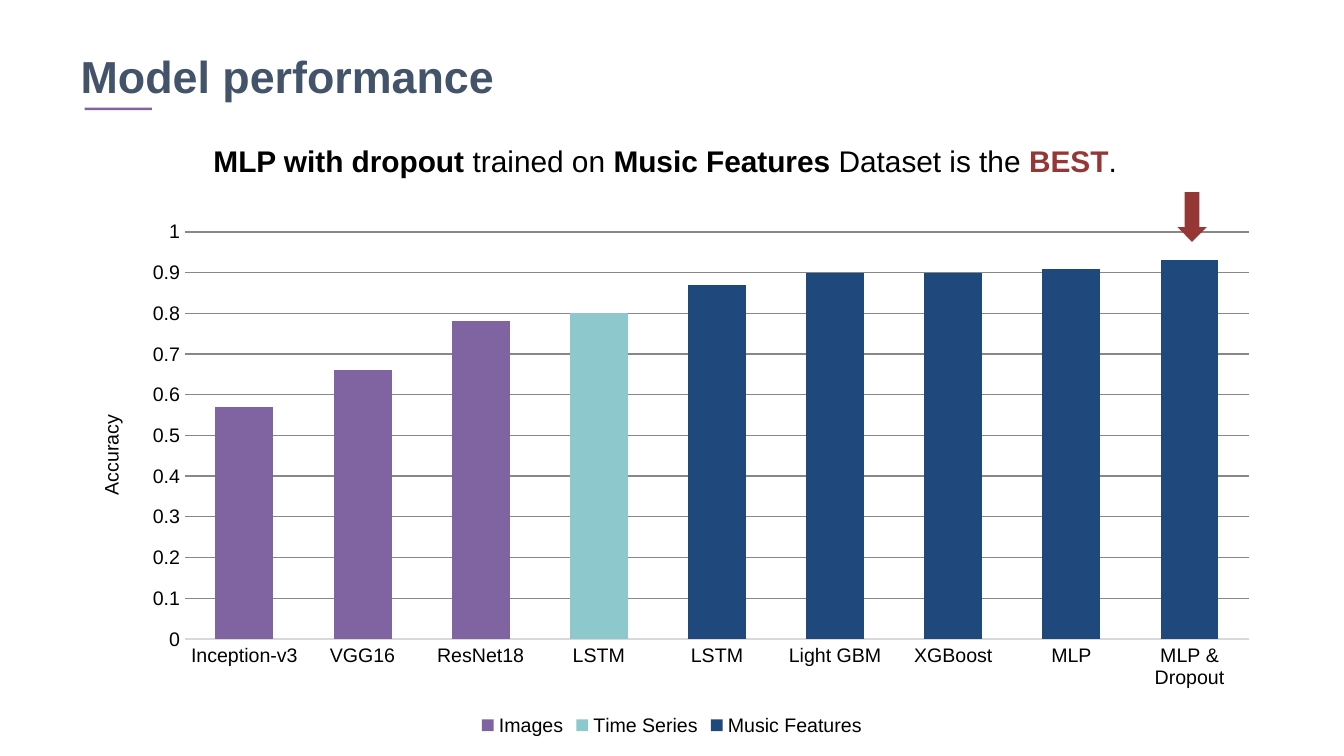
from dataclasses import dataclass

from lxml.etree import SubElement
from pptx import Presentation
from pptx.chart.data import CategoryChartData
from pptx.dml.color import RGBColor
from pptx.enum.chart import XL_CHART_TYPE, XL_LEGEND_POSITION, XL_TICK_MARK
from pptx.enum.shapes import MSO_SHAPE
from pptx.enum.text import MSO_ANCHOR, MSO_AUTO_SIZE, PP_ALIGN
from pptx.oxml import parse_xml
from pptx.oxml.ns import nsdecls, qn
from pptx.util import Inches, Pt


@dataclass(frozen=True)
class Theme:
    font: str = "Arial"
    title_size: float = 24
    message_size: float = 16
    chart_size: float = 10.5
    title: str = "43536A"
    text: str = "000000"
    highlight: str = "953735"
    accent: str = "8064A2"
    grid: str = "888888"
    axis: str = "D9D9D9"


THEME = Theme()
DATASET_COLORS = {
    "Images": "8064A2",
    "Time Series": "8DC9CC",
    "Music Features": "1F497D",
}
RESULTS = [
    ("Inception-v3", "Images", 0.57),
    ("VGG16", "Images", 0.66),
    ("ResNet18", "Images", 0.78),
    ("LSTM", "Time Series", 0.8),
    ("LSTM", "Music Features", 0.87),
    ("Light GBM", "Music Features", 0.9),
    ("XGBoost", "Music Features", 0.9),
    ("MLP", "Music Features", 0.91),
    ("MLP & Dropout", "Music Features", 0.93),
]
MESSAGE = [
    ("MLP with dropout ", True, THEME.text),
    ("trained on ", False, THEME.text),
    ("Music Features ", True, THEME.text),
    ("Dataset is the ", False, THEME.text),
    ("BEST", True, THEME.highlight),
    (".", False, THEME.text),
]


def style_font(font, size, color, bold=False):
    font.name = THEME.font
    font.size = Pt(size)
    font.bold = bold
    font.color.rgb = RGBColor.from_string(color)


def add_run(paragraph, text, size, color, bold):
    run = paragraph.add_run()
    run.text = text
    style_font(run.font, size, color, bold)


def add_filled_shape(slide, kind, left, top, width, height, color):
    shape = slide.shapes.add_shape(
        kind, Inches(left), Inches(top), Inches(width), Inches(height))
    shape.shadow.inherit = False
    shape.fill.solid()
    shape.fill.fore_color.rgb = RGBColor.from_string(color)
    shape.line.fill.background()


def add_heading(slide, left, top, width, height):
    title = slide.shapes.title
    title.left, title.top = Inches(left), Inches(top)
    title.width, title.height = Inches(width), Inches(height)
    frame = title.text_frame
    frame.auto_size = MSO_AUTO_SIZE.NONE
    frame.vertical_anchor = MSO_ANCHOR.MIDDLE
    paragraph = frame.paragraphs[0]
    paragraph.alignment = PP_ALIGN.LEFT
    add_run(paragraph, "Model performance", THEME.title_size, THEME.title, True)
    add_filled_shape(slide, MSO_SHAPE.RECTANGLE, left + 0.13, top + 0.57,
                     0.5, 0.02, THEME.accent)


def add_message(slide, left, top, width, height):
    box = slide.shapes.add_textbox(
        Inches(left), Inches(top), Inches(width), Inches(height))
    frame = box.text_frame
    frame.word_wrap = True
    frame.auto_size = MSO_AUTO_SIZE.SHAPE_TO_FIT_TEXT
    for text, bold, color in MESSAGE:
        add_run(frame.paragraphs[0], text, THEME.message_size, color, bold)


def set_plot_area(chart, left, top, width, height):
    plot_area = chart.element.find(qn("c:chart")).find(qn("c:plotArea"))
    for old_layout in plot_area.findall(qn("c:layout")):
        plot_area.remove(old_layout)
    layout = parse_xml(f"<c:layout {nsdecls('c')}/>")
    plot_area.insert(0, layout)
    manual = SubElement(layout, qn("c:manualLayout"))
    settings = {"layoutTarget": "inner", "xMode": "edge", "yMode": "edge",
                "x": left, "y": top, "w": width, "h": height}
    for name, value in settings.items():
        SubElement(manual, qn(f"c:{name}")).set("val", str(value))


def style_axes(chart):
    category_axis, value_axis = chart.category_axis, chart.value_axis
    for axis in (category_axis, value_axis):
        axis.major_tick_mark = XL_TICK_MARK.NONE
        axis.minor_tick_mark = XL_TICK_MARK.NONE
        style_font(axis.tick_labels.font, THEME.chart_size, THEME.text)
    category_axis.format.line.width = Pt(0.75)
    category_axis.format.line.color.rgb = RGBColor.from_string(THEME.axis)
    value_axis.format.line.fill.background()
    value_axis.minimum_scale, value_axis.maximum_scale = 0, 1
    value_axis.major_unit = 0.1
    value_axis.tick_labels.number_format = "General"
    value_axis.tick_labels.number_format_is_linked = False
    grid_line = value_axis.major_gridlines.format.line
    grid_line.width = Pt(0.75)
    grid_line.color.rgb = RGBColor.from_string(THEME.grid)
    paragraph = value_axis.axis_title.text_frame.paragraphs[0]
    add_run(paragraph, "Accuracy", THEME.chart_size, THEME.text, False)


def add_accuracy_chart(slide, left, top, width, height):
    data = CategoryChartData()
    data.categories = [model for model, _, _ in RESULTS]
    for name in DATASET_COLORS:
        data.add_series(name, [accuracy if dataset == name else 0
                               for _, dataset, accuracy in RESULTS])
    chart = slide.shapes.add_chart(
        XL_CHART_TYPE.COLUMN_STACKED, Inches(left), Inches(top),
        Inches(width), Inches(height), data).chart
    chart.has_title = False
    style_font(chart.font, THEME.chart_size, THEME.text)
    plot = chart.plots[0]
    plot.gap_width, plot.overlap = 104, 100
    plot.vary_by_categories = False
    for series, color in zip(plot.series, DATASET_COLORS.values()):
        series.format.fill.solid()
        series.format.fill.fore_color.rgb = RGBColor.from_string(color)
    style_axes(chart)
    set_plot_area(chart, 0.095, 0.042, 0.885, 0.765)
    chart.has_legend = True
    chart.legend.position = XL_LEGEND_POSITION.BOTTOM
    chart.legend.include_in_layout = False
    style_font(chart.legend.font, THEME.chart_size, THEME.text)
    add_filled_shape(slide, MSO_SHAPE.DOWN_ARROW, left + 8.23, top - 0.13,
                     0.22, 0.37, THEME.highlight)


def main():
    presentation = Presentation()
    presentation.slide_width = Inches(10)
    presentation.slide_height = presentation.slide_width * 9 // 16
    slide = presentation.slides.add_slide(presentation.slide_layouts[5])
    add_heading(slide, 0.5, 0.23, 8.88, 0.66)
    add_message(slide, 1.49, 1.01, 7.03, 0.37)
    add_accuracy_chart(slide, 0.53, 1.56, 8.94, 3.96)
    presentation.save("out.pptx")


if __name__ == "__main__":
    main()
